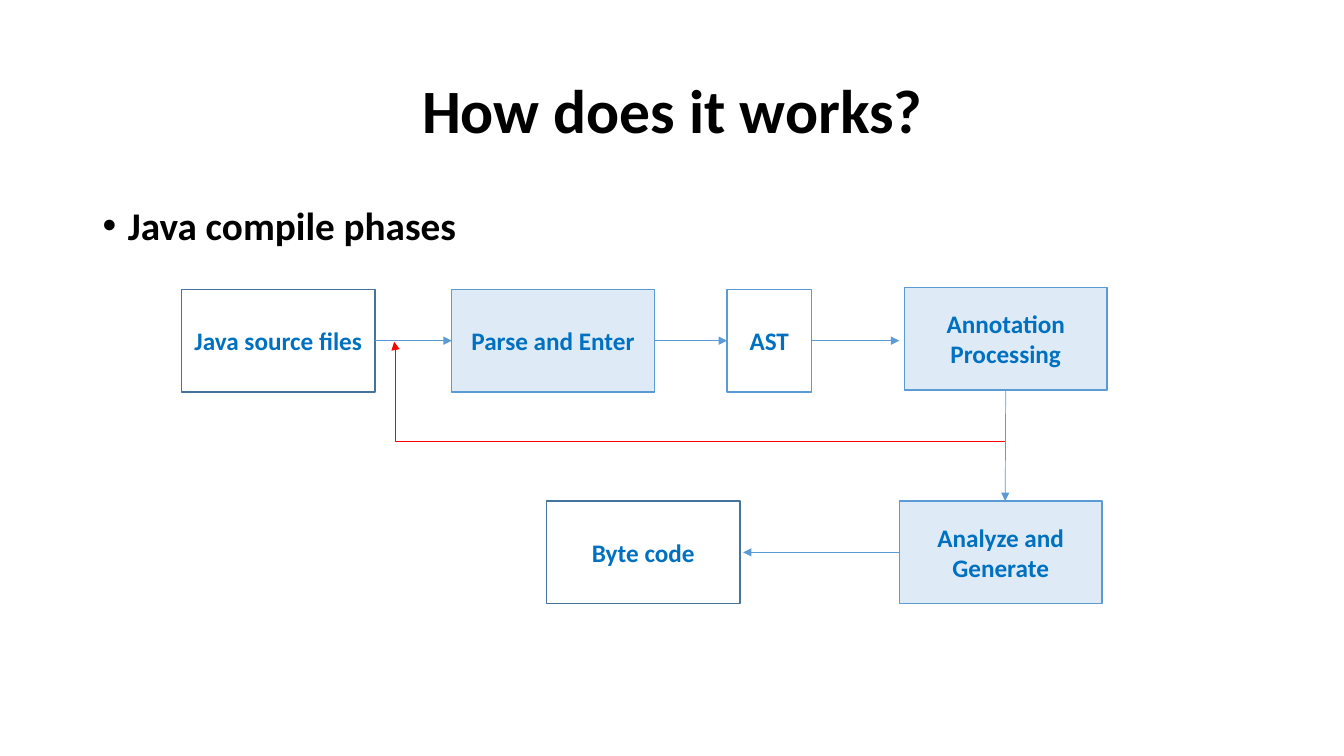
from pptx import Presentation
from pptx.dml.color import RGBColor
from pptx.enum.shapes import MSO_CONNECTOR, MSO_SHAPE
from pptx.enum.text import MSO_ANCHOR, PP_ALIGN
from pptx.oxml.ns import qn
from pptx.util import Pt
from lxml import etree

RECTANGLE = MSO_SHAPE.RECTANGLE
STRAIGHT, ELBOW = MSO_CONNECTOR.STRAIGHT, MSO_CONNECTOR.ELBOW
TOP, MIDDLE = MSO_ANCHOR.TOP, MSO_ANCHOR.MIDDLE
LEFT, CENTER = PP_ALIGN.LEFT, PP_ALIGN.CENTER
LEFT_SIDE, BOTTOM_SIDE, RIGHT_SIDE = 1, 2, 3

EMU_PER_PX = 9144  # 100 px to the inch
BOX_HEIGHT = 102
COLORS = {
    "ink": "000000",
    "label": "0070C0",
    "white": "FFFFFF",
    "pale": "DEEBF7",
    "blue": "5B9BD5",
    "steel": "43739E",
    "red": "FF0000",
}


def px(*lengths):
    return [round(length * EMU_PER_PX) for length in lengths]


class SlideBuilder:
    font = "Calibri"

    def __init__(self, slide):
        self.slide = slide

    def color(self, name):
        return RGBColor.from_string(COLORS[name])

    def fill_text(self, shape, text, size, color, align, anchor, bullet_indent=0,
                  **spacing):
        frame = shape.text_frame
        frame.word_wrap = True
        frame.vertical_anchor = anchor
        paragraph = frame.paragraphs[0]
        paragraph.text = text
        paragraph.alignment = align
        for name, value in spacing.items():
            setattr(paragraph, name, value)
        if bullet_indent:
            indent = px(bullet_indent)[0]
            properties = paragraph._p.get_or_add_pPr()
            properties.set("marL", str(indent))
            properties.set("indent", str(-indent))
            etree.SubElement(properties, qn("a:buFont"), typeface="Arial")
            etree.SubElement(properties, qn("a:buChar"), char="•")
        font = paragraph.runs[0].font
        for name, value in {"name": self.font, "size": Pt(size), "bold": True}.items():
            setattr(font, name, value)
        font.color.rgb = self.color(color)

    def text(self, area, text, size, align, anchor, **layout):
        box = self.slide.shapes.add_textbox(*px(*area))
        self.fill_text(box, text, size, "ink", align, anchor, **layout)

    def box(self, left, top, width, text, fill, line):
        box = self.slide.shapes.add_shape(
            RECTANGLE, *px(left, top, width, BOX_HEIGHT))
        box.shadow.inherit = False
        box.fill.solid()
        box.fill.fore_color.rgb = self.color(fill)
        box.line.color.rgb = self.color(line)
        box.line.width = Pt(1)
        self.fill_text(box, text, 18, "label", CENTER, MIDDLE)
        return box

    def arrow(self, start, end, kind=STRAIGHT, color="blue", source=None,
              target=None, bend=None):
        arrow = self.slide.shapes.add_connector(kind, *px(*start, *end))
        if source:
            arrow.begin_connect(*source)
        if target:
            arrow.end_connect(*target)
        arrow.line.color.rgb = self.color(color)
        arrow.line.width = Pt(0.5)
        properties = arrow._element.spPr
        etree.SubElement(properties.find(qn("a:ln")), qn("a:tailEnd"), type="triangle")
        etree.SubElement(properties, qn("a:effectLst"))
        if bend:
            adjustments = properties.find(qn("a:prstGeom")).find(qn("a:avLst"))
            etree.SubElement(adjustments, qn("a:gd"), name="adj1", fmla=f"val {bend}")


def main():
    presentation = Presentation()
    presentation.slide_width, presentation.slide_height = px(1333, 750)
    builder = SlideBuilder(presentation.slides.add_slide(presentation.slide_layouts[6]))

    # Title and topic
    builder.text((92, 40, 1150, 145), "How does it works?", 44, CENTER, MIDDLE,
                 line_spacing=0.9)
    builder.text((92, 200, 1150, 476), "Java compile phases", 28, LEFT, TOP,
                 bullet_indent=25, line_spacing=0.9)

    # Compile phases
    source_files = builder.box(180, 287, 192, "Java source files", "white", "steel")
    parse_enter = builder.box(448, 287, 201, "Parse and Enter", "pale", "blue")
    syntax_tree = builder.box(721, 287, 84, "AST", "white", "blue")
    annotation = builder.box(897, 285, 201, "Annotation Processing", "pale", "blue")
    generate = builder.box(892, 497, 201, "Analyze and Generate", "pale", "blue")
    builder.box(542, 497, 192, "Byte code", "white", "steel")

    # Flow between phases
    builder.arrow((372, 338), (448, 338), source=(source_files, RIGHT_SIDE),
                  target=(parse_enter, LEFT_SIDE))
    builder.arrow((649, 338), (721, 338), source=(parse_enter, RIGHT_SIDE),
                  target=(syntax_tree, LEFT_SIDE))
    builder.arrow((805, 338), (892, 338), source=(syntax_tree, RIGHT_SIDE))
    builder.arrow((997, 387), (997, 497), source=(annotation, BOTTOM_SIDE))
    builder.arrow((892, 548), (737, 548), source=(generate, LEFT_SIDE))

    # Return loop for newly generated sources
    builder.arrow((997, 438), (391, 339), kind=ELBOW, color="red", bend=99800)

    presentation.save("out.pptx")


if __name__ == "__main__":
    main()
